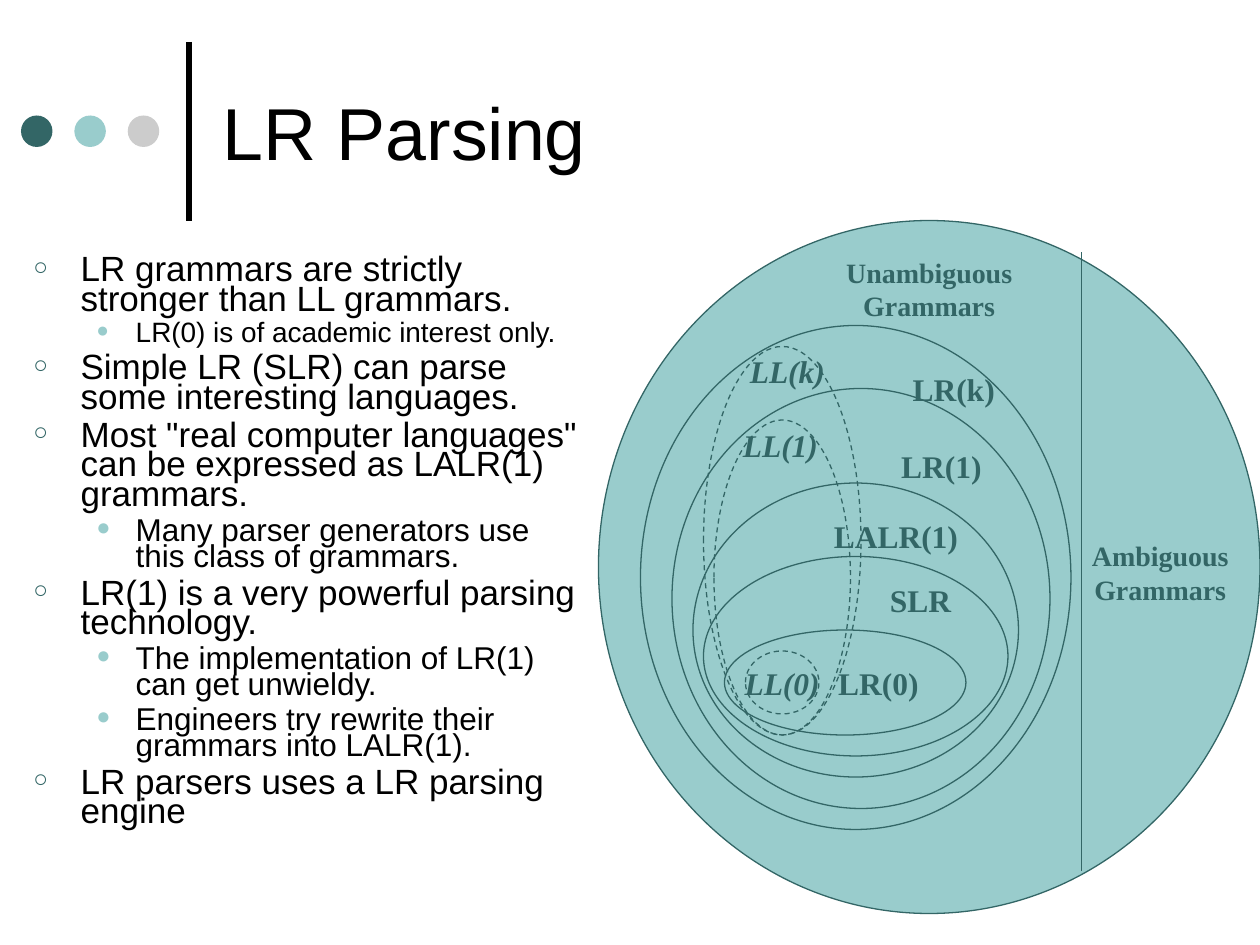
"""Build the LR Parsing slide with its nested grammar classes."""
from dataclasses import dataclass

import pptx
import pptx.dml.color
import pptx.enum.dml
import pptx.enum.shapes
import pptx.enum.text
import pptx.oxml
import pptx.oxml.ns
import pptx.util

Pt = pptx.util.Pt
ALIGN = pptx.enum.text.PP_ALIGN
ANCHOR = pptx.enum.text.MSO_ANCHOR
SHAPE = pptx.enum.shapes.MSO_SHAPE
COLORS = {"ink": "000000", "teal": "336666", "aqua": "99CCCC", "gray": "CCCCCC"}


@dataclass
class Outline:
    left: float
    top: float
    width: float
    height: float
    dashed: bool = False


@dataclass
class Label:
    text: str
    center_x: float
    center_y: float
    italic: bool = False


@dataclass
class Region:
    lines: tuple
    left: float
    top: float
    width: float
    height: float


@dataclass
class Level:
    bullet: str
    bullet_color: str
    bullet_percent: int
    margin: float
    indent: float


LEVELS = [Level("○", "teal", 70, 27, -27), Level("●", "aqua", 75, 58.5, -22.5)]

POINTS = [
    (0, 20, "LR grammars are strictly stronger than LL grammars."),
    (1, 16, "LR(0) is of academic interest only."),
    (0, 20, "Simple LR (SLR) can parse some interesting languages."),
    (0, 20, 'Most "real computer languages" can be expressed as LALR(1) grammars.'),
    (1, 18, "Many parser generators use this class of grammars."),
    (0, 20, "LR(1) is a very powerful parsing technology."),
    (1, 18, "The implementation of LR(1) can get unwieldy."),
    (1, 18, "Engineers try rewrite their grammars into LALR(1)."),
    (0, 20, "LR parsers uses a LR parsing engine"),
]

REGIONS = [
    Region(("Unambiguous", "Grammars"), 462, 144, 138, 42),
    Region(("Ambiguous", "Grammars"), 618, 294, 90, 66),
]

OUTLINES = [
    Outline(384, 222, 216, 240),
    Outline(414, 360, 138, 60),
    Outline(426, 372, 42, 36, True),
    Outline(408, 240, 78, 180, True),
    Outline(366, 186, 246, 288),
    Outline(396, 276, 186, 168),
    Outline(402, 318, 174, 114),
    Outline(402, 198, 90, 222, True),
]

LABELS = [
    Label("LR(k)", 545, 222),
    Label("LR(1)", 538, 266),
    Label("LALR(1)", 512, 306),
    Label("SLR", 526, 343),
    Label("LR(0)", 502, 390),
    Label("LL(k)", 450, 212, True),
    Label("LL(1)", 446, 254, True),
    Label("LL(0)", 447, 390, True),
]


def rgb(name: str):
    """Return the named colour."""
    return pptx.dml.color.RGBColor.from_string(COLORS[name])


def apply(target, values: dict) -> None:
    """Set each attribute of the target."""
    for name, value in values.items():
        setattr(target, name, value)


def add_span(para, text: str, color: str, **font) -> None:
    """Add one formatted run."""
    span = para.add_run()
    span.text = text
    apply(span.font, font)
    span.font.color.rgb = rgb(color)


def add_shape(page, kind, bounds: tuple, fill: str = "", line: str = ""):
    """Add a flat preset shape."""
    shape = page.shapes.add_shape(kind, *map(Pt, bounds))
    shape.shadow.inherit = False
    if fill:
        shape.fill.solid()
        shape.fill.fore_color.rgb = rgb(fill)
    else:
        shape.fill.background()
    if line:
        shape.line.color.rgb = rgb(line)
        shape.line.width = Pt(0.75)
    else:
        shape.line.fill.background()
    return shape


def add_rule(page, x: float, top: float, bottom: float, color: str, width: float) -> None:
    """Add a vertical line."""
    rule = page.shapes.add_connector(
        pptx.enum.shapes.MSO_CONNECTOR.STRAIGHT, Pt(x), Pt(top), Pt(x), Pt(bottom))
    rule.line.color.rgb = rgb(color)
    rule.line.width = Pt(width)
    rule._element.spPr.append(pptx.oxml.parse_xml(
        f"<a:effectLst {pptx.oxml.ns.nsdecls('a')}/>"))


def add_text_box(page, bounds: tuple, anchor, wrap: bool = True):
    """Add a text box and return its text frame."""
    frame = page.shapes.add_textbox(*map(Pt, bounds)).text_frame
    apply(frame, {"word_wrap": wrap, "vertical_anchor": anchor})
    return frame


def add_bullet(para, level: Level) -> None:
    """Give a paragraph its bullet and hanging indent."""
    properties = para._p.get_or_add_pPr()
    properties.set("marL", str(Pt(level.margin)))
    properties.set("indent", str(Pt(level.indent)))
    space = pptx.oxml.ns.nsdecls("a")
    for xml in (
        f'<a:buClr {space}><a:srgbClr val="{COLORS[level.bullet_color]}"/></a:buClr>',
        f'<a:buSzPct {space} val="{level.bullet_percent * 1000}"/>',
        f'<a:buFont {space} typeface="Arial"/>',
        f'<a:buChar {space} char="{level.bullet}"/>',
    ):
        properties.append(pptx.oxml.parse_xml(xml))


def add_points(page) -> None:
    """Add the bulleted list."""
    frame = add_text_box(page, (12, 144, 330, 348), ANCHOR.TOP)
    for index, (depth, size, text) in enumerate(POINTS):
        para = frame.add_paragraph() if index else frame.paragraphs[0]
        add_bullet(para, LEVELS[depth])
        apply(para, {"level": depth, "line_spacing": 0.7,
                     "space_before": Pt(size / 4 if index else 0)})
        add_span(para, text, "ink", name="Arial", size=Pt(size))


def add_region(page, region: Region) -> None:
    """Add a filled caption of centred lines."""
    bounds = (region.left, region.top, region.width, region.height)
    frame = add_shape(page, SHAPE.RECTANGLE, bounds, "aqua").text_frame
    apply(frame, {"word_wrap": False, "vertical_anchor": ANCHOR.MIDDLE})
    for index, text in enumerate(region.lines):
        para = frame.add_paragraph() if index else frame.paragraphs[0]
        para.alignment = ALIGN.CENTER
        add_span(para, text, "teal", name="Times New Roman", size=Pt(16), bold=True)


def add_outline(page, outline: Outline) -> None:
    """Add the unfilled ellipse of a grammar class."""
    bounds = (outline.left, outline.top, outline.width, outline.height)
    ellipse = add_shape(page, SHAPE.OVAL, bounds, line="teal")
    if outline.dashed:
        ellipse.line.dash_style = pptx.enum.dml.MSO_LINE.DASH


def add_label(page, label: Label) -> None:
    """Add a class name centred on its point."""
    width, height = 108, 28
    bounds = (label.center_x - width / 2, label.center_y - height / 2, width, height)
    para = add_text_box(page, bounds, ANCHOR.MIDDLE, False).paragraphs[0]
    para.alignment = ALIGN.CENTER
    add_span(para, label.text, "teal", name="Times New Roman", size=Pt(18),
             bold=True, italic=label.italic)


def main() -> None:
    """Build and save the deck."""
    deck = pptx.Presentation()
    apply(deck, {"slide_width": Pt(720), "slide_height": Pt(540)})
    page = deck.slides.add_slide(deck.slide_layouts[6])
    add_rule(page, 108, 24, 126, "ink", 3)
    for index, color in enumerate(("teal", "aqua", "gray")):
        add_shape(page, SHAPE.OVAL, (12 + 30.5 * index, 66, 18, 18), color)
    title = add_text_box(page, (120, 15, 552, 120), ANCHOR.MIDDLE)
    add_span(title.paragraphs[0], "LR Parsing", "ink", name="Arial", size=Pt(42))
    add_points(page)
    universe = add_shape(page, SHAPE.OVAL, (333, 135, 396, 378), "aqua", "teal")
    universe.rotation = 270
    for region in REGIONS:
        add_region(page, region)
    add_rule(page, 618, 144, 498, "teal", 0.75)
    for outline in OUTLINES:
        add_outline(page, outline)
    for label in LABELS:
        add_label(page, label)
    deck.save("out.pptx")


if __name__ == "__main__":
    main()
